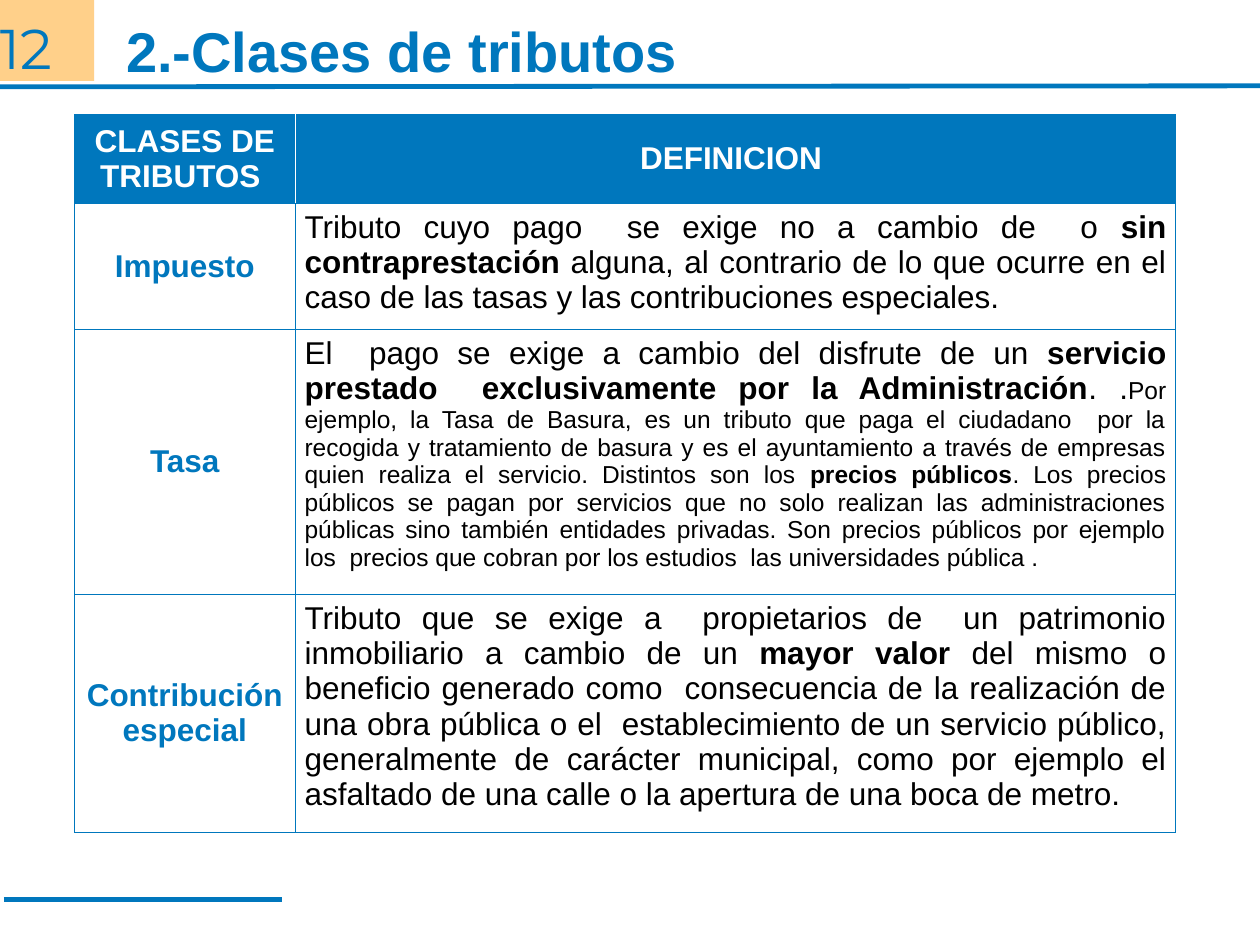
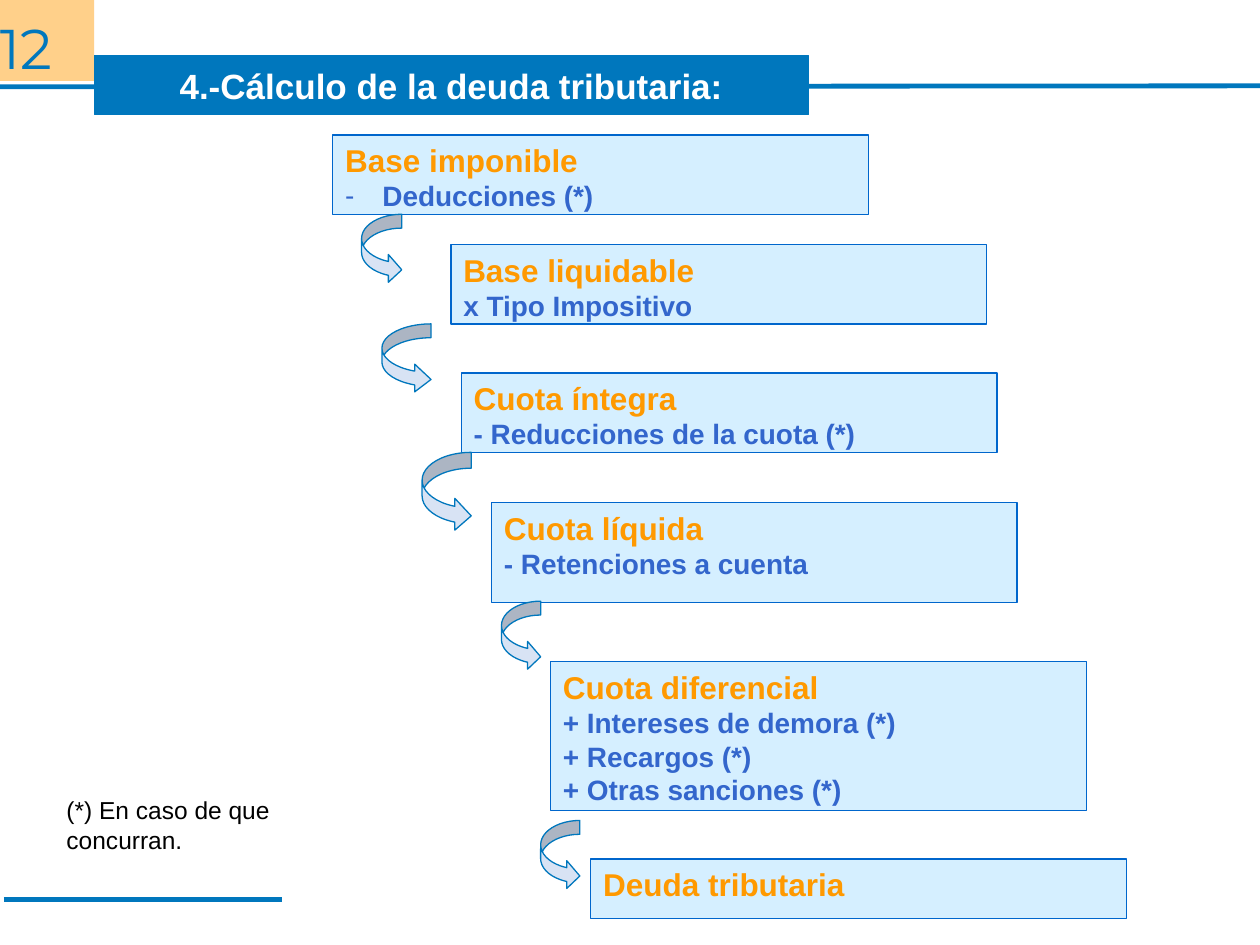
import lxml.etree
import pptx
import pptx.dml.color
import pptx.enum.shapes
import pptx.enum.text
import pptx.oxml.ns
import pptx.util

Cm = pptx.util.Cm
Pt = pptx.util.Pt
qn = pptx.oxml.ns.qn
RGB = pptx.dml.color.RGBColor.from_string
ALIGN = pptx.enum.text.PP_ALIGN
ANCHOR = pptx.enum.text.MSO_ANCHOR
SHAPE = pptx.enum.shapes.MSO_SHAPE


class Theme:
    blue = "0077BD"
    orange = "FF9900"
    step_fill = "D5EFFF"
    step_line = "0066CC"
    step_detail = "3366CC"
    arrow_fill = "D8E3F4"
    white = "FFFFFF"
    black = "000000"
    font = "Arial"
    number_font = "Montserrat"
    title = 32
    band_title = 20
    body = 18
    detail = 16
    small = 14
    rule = 2.75
    outline = 0.75
    border = 0.45


def write(paragraph, text, size=Theme.body, color=Theme.black, bold=False, font=Theme.font,
          align=ALIGN.LEFT):
    paragraph.alignment = align
    run = paragraph.add_run()
    run.text = text
    run.font.name = font
    run.font.size = Pt(size)
    run.font.bold = bold
    run.font.color.rgb = RGB(color)


def add_panel(slide, preset, left, top, width, height, fill, line=None):
    panel = slide.shapes.add_shape(preset, Cm(left), Cm(top), Cm(width), Cm(height))
    panel.shadow.inherit = False
    panel.fill.solid()
    panel.fill.fore_color.rgb = RGB(fill)
    if line:
        panel.line.color.rgb = RGB(line)
        panel.line.width = Pt(Theme.outline)
    else:
        panel.line.fill.background()
    panel.text_frame.word_wrap = True
    panel.text_frame.vertical_anchor = ANCHOR.TOP
    return panel


deck = pptx.Presentation()
deck.slide_width = Cm(25.4)
deck.slide_height = Cm(19.05)

headings = [
    ("2.-Clases de tributos", (2.29, 0.53, 17.6, 0.97), Theme.title, Theme.blue, ALIGN.LEFT, None),
    ("4.-Cálculo de la deuda tributaria:", (1.9, 1.12, 14.4, 1.19), Theme.band_title, Theme.white,
     ALIGN.CENTER, Theme.blue),
]
rules = [(0, 1.75, 25.4, 1.73), (0.08, 18.14, 5.69, 18.14)]

for text, place, size, color, align, band in headings:
    slide = deck.slides.add_slide(deck.slide_layouts[5])
    for ends in rules:
        rule = slide.shapes.add_connector(pptx.enum.shapes.MSO_CONNECTOR.STRAIGHT,
                                          *[Cm(end) for end in ends])
        rule.line.color.rgb = RGB(Theme.blue)
        rule.line.width = Pt(Theme.rule)
        lxml.etree.SubElement(rule._element.spPr, qn("a:effectLst"))

    unit = add_panel(slide, SHAPE.RECTANGLE, 0, 0, 1.9, 1.63, Theme.orange)
    tint = unit._element.spPr.find(".//" + qn("a:srgbClr"))
    lxml.etree.SubElement(tint, qn("a:alpha"), val="46000")
    frame = unit.text_frame
    frame.margin_left = frame.margin_right = frame.margin_top = frame.margin_bottom = 0
    frame.paragraphs[0].line_spacing = 1.2
    write(frame.paragraphs[0], "12", size=Theme.title, color=Theme.blue, font=Theme.number_font)

    title = slide.shapes.title
    title.left, title.top, title.width, title.height = [Cm(length) for length in place]
    slide.shapes._spTree.append(title._element)
    title.text_frame.auto_size = pptx.enum.text.MSO_AUTO_SIZE.NONE
    title.text_frame.vertical_anchor = ANCHOR.MIDDLE
    if band:
        title.fill.solid()
        title.fill.fore_color.rgb = RGB(band)
        title.line.color.rgb = RGB(band)
        title.line.width = Pt(Theme.outline)
    write(title.text_frame.paragraphs[0], text, size=size, color=color, bold=True, align=align)

classes_slide, debt_slide = deck.slides

plain = {}
strong = {"bold": True}
small = {"size": Theme.small}
tributes = [
    ("CLASES DE TRIBUTOS ", [("DEFINICION ", strong)]),
    ("Impuesto", [
        ("Tributo cuyo pago  se exige no a cambio de  o ", plain),
        ("sin contraprestación", strong),
        (" alguna, al contrario de lo que ocurre en el caso de las tasas y las "
         "contribuciones especiales.", plain)]),
    ("Tasa", [
        ("El  pago se exige a cambio del disfrute de un ", plain),
        ("servicio prestado  exclusivamente por la Administración", strong),
        (". .", plain),
        ("Por ejemplo, la Tasa de Basura, es un tributo que paga el ciudadano  por la recogida y "
         "tratamiento de basura y es el ayuntamiento a través de empresas quien realiza el "
         "servicio. Distintos son los ", small),
        ("precios públicos", {**small, **strong}),
        (". Los precios públicos se pagan por servicios que no solo realizan las administraciones "
         "públicas sino también entidades privadas. Son precios públicos por ejemplo los  precios "
         "que cobran por los estudios  las universidades pública .", small)]),
    ("Contribución especial", [
        ("Tributo que se exige a  propietarios de  un patrimonio inmobiliario a cambio de un ",
         plain),
        ("mayor valor", strong),
        (" del mismo o beneficio generado como  consecuencia de la realización de una obra "
         "pública o el  establecimiento de un servicio público, generalmente de carácter "
         "municipal, como por ejemplo el asfaltado de una calle o la apertura de una boca de "
         "metro.", plain)]),
]
column_widths = [4.45, 17.75]
row_heights = [1.79, 2.54, 5.34, 4.8]
definitions = classes_slide.shapes.add_table(
    len(tributes), 2, Cm(1.5), Cm(2.31), Cm(sum(column_widths)), Cm(sum(row_heights))).table
definitions.horz_banding = False
for column, width in zip(definitions.columns, column_widths):
    column.width = Cm(width)

for row, (name, definition) in enumerate(tributes):
    definitions.rows[row].height = Cm(row_heights[row])
    header = row == 0
    for col, runs in enumerate([[(name, strong)], definition]):
        cell = definitions.cell(row, col)
        cell.margin_left = cell.margin_right = Cm(0.19)
        cell.margin_top = cell.margin_bottom = Cm(0.13)
        label = header or col == 0
        cell.vertical_anchor = ANCHOR.MIDDLE if label else ANCHOR.TOP
        inner_side = "R" if col == 0 else "L"
        for side in "LRTB":
            edge = lxml.etree.SubElement(cell._tc.get_or_add_tcPr(), qn("a:ln" + side),
                                         w=str(Pt(Theme.border)))
            paint = lxml.etree.SubElement(edge, qn("a:solidFill"))
            edge_color = Theme.white if header and side == inner_side else Theme.blue
            lxml.etree.SubElement(paint, qn("a:srgbClr"), val=edge_color)
        if header:
            cell.fill.solid()
            cell.fill.fore_color.rgb = RGB(Theme.blue)
        else:
            cell.fill.background()
        color = Theme.white if header else Theme.blue if label else Theme.black
        paragraph = cell.text_frame.paragraphs[0]
        paragraph.space_after = Pt(6)
        for text, style in runs:
            write(paragraph, text, color=color,
                  align=ALIGN.CENTER if label else ALIGN.JUSTIFY, **style)

steps = [
    (6.71, 2.72, 10.8, 1.6, "Base imponible", ["Deducciones (*)"]),
    (9.09, 4.93, 10.8, 1.6, "Base liquidable", ["x Tipo Impositivo"]),
    (9.3, 7.52, 10.8, 1.6, "Cuota íntegra", ["- Reducciones de la cuota (*)"]),
    (9.91, 10.13, 10.59, 2.01, "Cuota líquida", ["- Retenciones a cuenta"]),
    (11.1, 13.34, 10.8, 3, "Cuota diferencial",
     ["+ Intereses de demora (*)", "+ Recargos (*)", "+ Otras sanciones (*)"]),
    (11.91, 17.32, 10.8, 1.19, "Deuda tributaria", []),
]
for left, top, width, height, name, operations in steps:
    step = add_panel(debt_slide, SHAPE.FLOWCHART_PROCESS, left, top, width, height,
                     Theme.step_fill, Theme.step_line)
    write(step.text_frame.paragraphs[0], name, color=Theme.orange, bold=True)
    for operation in operations:
        paragraph = step.text_frame.add_paragraph()
        if operation.startswith("Deducciones"):
            indent = Cm(0.75)
            properties = paragraph._p.get_or_add_pPr()
            properties.set("marL", str(indent))
            properties.set("indent", str(-indent))
            bullet_color = lxml.etree.SubElement(properties, qn("a:buClr"))
            lxml.etree.SubElement(bullet_color, qn("a:srgbClr"), val=Theme.step_detail)
            lxml.etree.SubElement(properties, qn("a:buFont"), typeface=Theme.font)
            lxml.etree.SubElement(properties, qn("a:buChar"), char="-")
        write(paragraph, operation, size=Theme.detail, color=Theme.step_detail, bold=True)

turns = [
    (7.29, 4.32, 0.81, 1.4),
    (7.7, 6.53, 0.99, 1.4),
    (8.51, 9.12, 0.99, 1.6),
    (10.11, 12.12, 0.79, 1.4),
    (10.9, 16.54, 0.79, 1.4),
]
for left, top, width, height in turns:
    turn = add_panel(debt_slide, SHAPE.CURVED_RIGHT_ARROW, left, top, width, height,
                     Theme.arrow_fill, Theme.blue)
    turn.adjustments[0] = 0.2 * height / width
    turn.adjustments[1] = 0.4 * height / width
    turn.adjustments[2] = 1 / 3

footnote = debt_slide.shapes.add_textbox(Cm(1.09), Cm(15.9), Cm(6.6), Cm(1.45)).text_frame
footnote.word_wrap = True
footnote.vertical_anchor = ANCHOR.MIDDLE
write(footnote.paragraphs[0], "(*) En caso de que concurran.", size=Theme.small)

deck.save("out.pptx")
